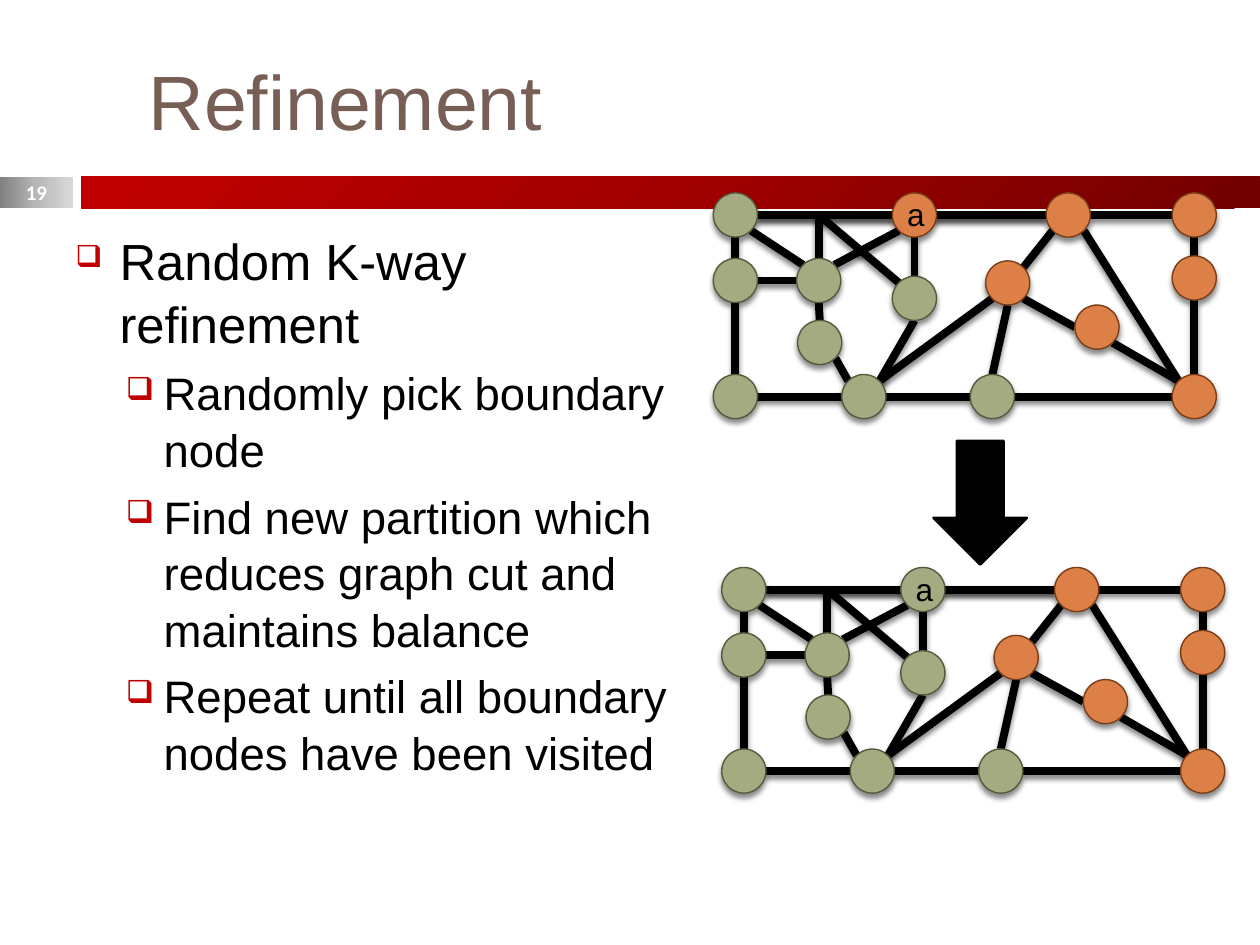
from pptx import Presentation
from pptx import util as u
from pptx.dml.color import RGBColor
from pptx.enum import shapes, text
from pptx.oxml import parse_xml
from pptx.oxml.ns import nsdecls

RED = RGBColor(0xC0, 0x00, 0x00)
BROWN = RGBColor(0x77, 0x5F, 0x55)
BLACK = RGBColor(0x00, 0x00, 0x00)
WHITE = RGBColor(0xFF, 0xFF, 0xFF)
GREEN = RGBColor(0xA5, 0xAB, 0x81)
OLIVE = RGBColor(0x56, 0x5A, 0x3C)
ORANGE = RGBColor(0xDD, 0x80, 0x47)
RUST = RGBColor(0x7B, 0x3D, 0x17)

DIA = 0.89
NODES = {
    "nw": (0, 0), "w": (0, 1.32), "sw": (0, 3.66), "hub": (1.68, 1.32),
    "in": (1.7, 2.57), "c": (3.61, 1.68), "b1": (2.59, 3.66), "b2": (5.18, 3.66),
    "a": (3.61, 0), "t": (6.71, 0), "m": (5.49, 1.37), "low": (7.29, 2.26),
    "ne": (9.25, 0), "e": (9.25, 1.27), "se": (9.25, 3.66),
}
WARM = {"t", "m", "low", "ne", "e", "se"}
BEND = {"bend": (1.68, 0)}
SIDES = {
    "C": (0, 0), "N": (0, -1), "S": (0, 1), "W": (-1, 0), "E": (1, 0),
    "NW": (-0.71, -0.71), "NE": (0.71, -0.71), "SW": (-0.71, 0.71), "SE": (0.71, 0.71),
}
EDGES = """
nw E a W, nw S w N, w S sw N, b1 W sw E, b2 W b1 E, se W b2 E, hub W w E,
hub NW nw SE, hub NE a SW, a E t W, t E ne W, e N ne S, se N e S, se NW t SE,
hub S in N, b1 NW in SE, c N a S, b1 NE c S, m NE t SW, m SW b1 NE, m S b2 N,
m SE low W, low SE se NW, bend C nw E, bend C hub N, bend C c NW, bend C t W
"""
POINTS = [
    "Randomly pick boundary node",
    "Find new partition which reduces graph cut and maintains balance",
    "Repeat until all boundary nodes have been visited",
]


def write(para, words, size, color=BLACK, font="Arial", bold=False, align=None):
    """Add one formatted run to a paragraph."""
    run = para.add_run()
    run.text = words
    run.font.size, run.font.name, run.font.bold = u.Pt(size), font, bold
    run.font.color.rgb = color
    para.alignment = align


def box(slide, x, y, w, h, wrap=True):
    """Add an empty text box and return its frame."""
    frame = slide.shapes.add_textbox(u.Cm(x), u.Cm(y), u.Cm(w), u.Cm(h)).text_frame
    frame.word_wrap = wrap
    return frame


def shape(slide, kind, x, y, w, h):
    """Add a preset shape without a shadow."""
    item = slide.shapes.add_shape(kind, u.Cm(x), u.Cm(y), u.Cm(w), u.Cm(h))
    item.shadow.inherit = False
    return item


def paint(item, fill, line, width):
    """Give a shape a solid fill and a line."""
    item.fill.solid()
    item.fill.fore_color.rgb = fill
    item.line.color.rgb = line
    item.line.width = u.Pt(width)


def band(slide, x, w, stops, angle):
    """Add a borderless gradient strip under the title."""
    strip = shape(slide, shapes.MSO_SHAPE.RECTANGLE, x, 3.56, w, 0.64)
    marks = "".join(
        f'<a:gs pos="{pos * 1000}"><a:srgbClr val="{tone}"/></a:gs>'
        for pos, tone in zip((0, 50, 100), stops))
    strip._element.spPr.insert(2, parse_xml(
        f'<a:gradFill {nsdecls("a")} rotWithShape="1"><a:gsLst>{marks}</a:gsLst>'
        f'<a:lin ang="{angle * 60000}" scaled="0"/></a:gradFill>'))
    strip.line.fill.background()


def shade(item):
    """Set a soft shadow below a shape or connector."""
    props = item._element.spPr
    for old in props.findall("{*}effectLst"):
        props.remove(old)
    props.append(parse_xml(
        f'<a:effectLst {nsdecls("a")}><a:outerShdw blurRad="{u.Pt(3)}" '
        f'dist="{u.Pt(2.4)}" dir="5400000" algn="ctr" rotWithShape="0">'
        '<a:srgbClr val="000000"><a:alpha val="45000"/></a:srgbClr>'
        '</a:outerShdw></a:effectLst>'))


def bullet(para, words, size, level, left, hang, gap, scale):
    """Format a paragraph as a bulleted point."""
    para.level = level
    para.space_before = u.Pt(gap)
    para.line_spacing = 1.04
    write(para, words, size)
    props = para._p.get_or_add_pPr()
    props.set("marL", str(u.Cm(left)))
    props.set("indent", str(-u.Cm(hang)))
    for mark in (f'buClr {nsdecls("a")}><a:srgbClr val="{RED}"/></a:buClr>',
                 f'buSzPct {nsdecls("a")} val="{scale * 1000}"/>',
                 f'buChar {nsdecls("a")} char="❑"/>'):
        props.append(parse_xml("<a:" + mark))


def edge(slide, x, y, ends):
    """Join two node sides with a thick line."""
    one, side, two, face = ends.split()
    spots = []
    for name, way in ((one, side), (two, face)):
        px, py = (NODES | BEND)[name]
        dx, dy = SIDES[way]
        spots += [u.Cm(x + px + (1 + dx) * DIA / 2), u.Cm(y + py + (1 + dy) * DIA / 2)]
    line = slide.shapes.add_connector(shapes.MSO_CONNECTOR.STRAIGHT, *spots)
    line.line.color.rgb = BLACK
    line.line.width = u.Pt(4.5)
    shade(line)


def graph(slide, x, y, warm):
    """Draw the partitioned graph with its top left node at x, y."""
    for ends in EDGES.split(","):
        edge(slide, x, y, ends)
    for name, (px, py) in NODES.items():
        node = shape(slide, shapes.MSO_SHAPE.OVAL, x + px, y + py, DIA, DIA)
        paint(node, *((ORANGE, RUST) if name in warm else (GREEN, OLIVE)), 0.79)
        shade(node)
    px, py = NODES["a"]
    frame = box(slide, x + px + 0.05, y + py - 0.08, 0.81, 1.02, wrap=False)
    write(frame.paragraphs[0], "a", 18)


def main():
    """Build the refinement slide."""
    deck = Presentation()
    deck.slide_width, deck.slide_height = u.Cm(25.4), u.Cm(19.05)
    slide = deck.slides.add_slide(deck.slide_layouts[5])

    band(slide, 0, 1.47, ("808080", "B7B7B7", "D9D9D9"), 0)
    band(slide, 1.65, 23.75, ("720000", "A20000", "C00000"), 225)

    title = slide.shapes.title
    title.left, title.top = u.Cm(2.74), u.Cm(0.64)
    title.width, title.height = u.Cm(21.59), u.Cm(2.74)
    title.text_frame.vertical_anchor = text.MSO_ANCHOR.MIDDLE
    write(title.text_frame.paragraphs[0], "Refinement", 44, BROWN,
          align=text.PP_ALIGN.LEFT)

    body = box(slide, 1.27, 4.45, 13.13, 12.57)
    bullet(body.paragraphs[0], "Random K-way refinement", 29, 0, 0.89, 0.89, 7, 60)
    for words in POINTS:
        bullet(body.add_paragraph(), words, 26, 1, 1.78, 0.76, 5.5, 70)

    page = box(slide, 0, 3.53, 1.47, 0.69)
    page.vertical_anchor = text.MSO_ANCHOR.MIDDLE
    write(page.paragraphs[0], "19", 11.9, WHITE, "Calibri", True, text.PP_ALIGN.CENTER)

    graph(slide, 14.38, 3.89, WARM | {"a"})
    graph(slide, 14.55, 11.44, WARM)
    arrow = shape(slide, shapes.MSO_SHAPE.DOWN_ARROW, 18.82, 8.89, 1.88, 2.49)
    paint(arrow, BLACK, BLACK, 1.5)
    deck.save("out.pptx")


if __name__ == "__main__":
    main()
